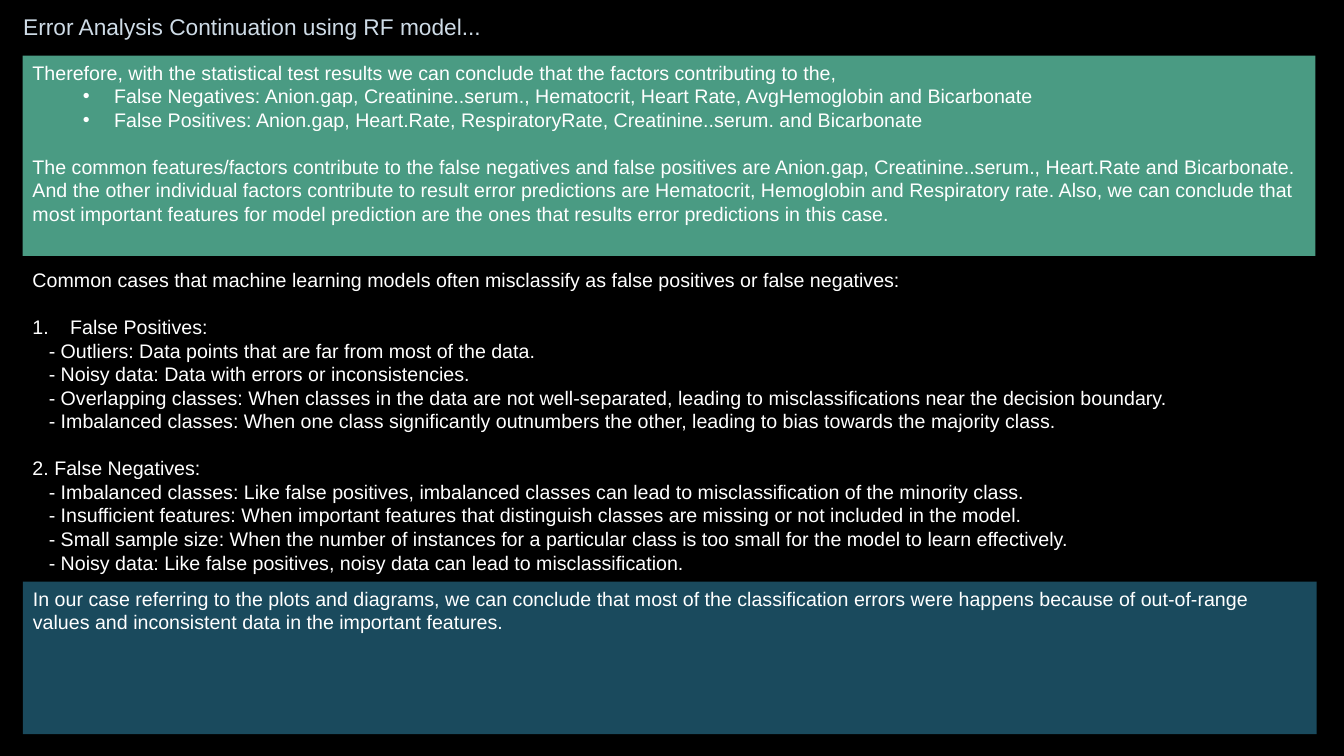
from dataclasses import dataclass

from lxml import etree
from pptx import Presentation
from pptx.dml.color import RGBColor
from pptx.enum.shapes import MSO_SHAPE
from pptx.enum.text import MSO_ANCHOR, PP_ALIGN
from pptx.oxml.ns import qn
from pptx.util import Cm, Pt

RECTANGLE = MSO_SHAPE.RECTANGLE
TOP, MIDDLE = MSO_ANCHOR.TOP, MSO_ANCHOR.MIDDLE
LEFT, CENTER = PP_ALIGN.LEFT, PP_ALIGN.CENTER

BLACK = RGBColor(0x00, 0x00, 0x00)
WHITE = RGBColor(0xFF, 0xFF, 0xFF)
PALE_BLUE = RGBColor(0xCE, 0xDB, 0xE6)
GREEN = RGBColor(0x4A, 0x9B, 0x83)
NAVY = RGBColor(0x1A, 0x4A, 0x5D)

FONT = "Arial"
BODY_SIZE = Pt(14)
LINE_PITCH = Pt(16.8)
TITLE_ONLY_LAYOUT = 5


@dataclass
class Line:
    text: str
    margin: float = 0  # cm
    hanging: float = 0  # cm
    bullet: str = ""
    number: str = ""
    gap: bool = False


@dataclass
class Panel:
    left: float  # cm
    top: float
    width: float
    height: float
    lines: list[Line]
    fill: RGBColor | None = None


def point(text: str) -> Line:
    return Line(text, margin=2.06, hanging=0.79, bullet="•")


def case(text: str) -> Line:
    return Line("- " + text, margin=0.41)


PANELS = [
    # Conclusion of the statistical tests
    Panel(0.57, 1.4, 32.58, 5.05, [
        Line("Therefore, with the statistical test results we can conclude that the "
             "factors contributing to the,"),
        point("False Negatives: Anion.gap, Creatinine..serum., Hematocrit, Heart Rate, "
              "AvgHemoglobin and Bicarbonate"),
        point("False Positives: Anion.gap, Heart.Rate, RespiratoryRate, "
              "Creatinine..serum. and Bicarbonate"),
        Line("The common features/factors contribute to the false negatives and false "
             "positives are Anion.gap, Creatinine..serum., Heart.Rate and Bicarbonate. "
             "And the other individual factors contribute to result error predictions "
             "are Hematocrit, Hemoglobin and Respiratory rate. Also, we can conclude "
             "that most important features for model prediction are the ones that "
             "results error predictions in this case.", gap=True),
    ], GREEN),
    # Commonly misclassified cases
    Panel(0.57, 6.63, 31.39, 8.03, [
        Line("Common cases that machine learning models often misclassify as false "
             "positives or false negatives:"),
        Line("False Positives:", margin=0.95, hanging=0.95, number="arabicPeriod",
             gap=True),
        case("Outliers: Data points that are far from most of the data."),
        case("Noisy data: Data with errors or inconsistencies."),
        case("Overlapping classes: When classes in the data are not well-separated, "
             "leading to misclassifications near the decision boundary."),
        case("Imbalanced classes: When one class significantly outnumbers the other, "
             "leading to bias towards the majority class."),
        Line("2. False Negatives:", gap=True),
        case("Imbalanced classes: Like false positives, imbalanced classes can lead to "
             "misclassification of the minority class."),
        case("Insufficient features: When important features that distinguish classes "
             "are missing or not included in the model."),
        case("Small sample size: When the number of instances for a particular class "
             "is too small for the model to learn effectively."),
        case("Noisy data: Like false positives, noisy data can lead to "
             "misclassification."),
    ]),
    # Conclusion for this case
    Panel(0.58, 14.66, 32.6, 3.84, [
        Line("In our case referring to the plots and diagrams, we can conclude that "
             "most of the classification errors were happens because of out-of-range "
             "values and inconsistent data in the important features."),
    ], NAVY),
]


def style_font(paragraph, size: Pt, color: RGBColor) -> None:
    paragraph.font.name = FONT
    paragraph.font.size = size
    paragraph.font.color.rgb = color


def write_line(paragraph, line: Line) -> None:
    properties = paragraph._p.get_or_add_pPr()
    if line.margin:
        properties.set("marL", str(Cm(line.margin)))
        properties.set("indent", str(-Cm(line.hanging)))
    paragraph.alignment = LEFT
    paragraph.line_spacing = LINE_PITCH
    if line.gap:
        paragraph.space_before = LINE_PITCH
    if line.bullet:
        etree.SubElement(properties, qn("a:buFont"), typeface=FONT)
        etree.SubElement(properties, qn("a:buChar"), char=line.bullet)
    if line.number:
        etree.SubElement(properties, qn("a:buAutoNum"), type=line.number)
    paragraph.text = line.text
    style_font(paragraph, BODY_SIZE, WHITE)


def add_panel(slide, panel: Panel) -> None:
    box = [Cm(value) for value in (panel.left, panel.top, panel.width, panel.height)]
    if panel.fill is None:
        shape = slide.shapes.add_textbox(*box)
    else:
        shape = slide.shapes.add_shape(RECTANGLE, *box)
        shape.shadow.inherit = False
        shape.fill.solid()
        shape.fill.fore_color.rgb = panel.fill
        shape.line.fill.background()
    frame = shape.text_frame
    frame.word_wrap = True
    frame.vertical_anchor = TOP
    for index, line in enumerate(panel.lines):
        write_line(frame.add_paragraph() if index else frame.paragraphs[0], line)


def format_title(title) -> None:
    title.left, title.top, title.width, title.height = Cm(0), Cm(0), Cm(12.7), Cm(1.42)
    title.text_frame.text = "Error Analysis Continuation using RF model..."
    title.text_frame.vertical_anchor = MIDDLE
    title.text_frame.word_wrap = True
    paragraph = title.text_frame.paragraphs[0]
    paragraph.alignment = CENTER
    paragraph.line_spacing = 0.9
    style_font(paragraph, Pt(16.2), PALE_BLUE)


def main() -> None:
    presentation = Presentation()
    presentation.slide_width, presentation.slide_height = Cm(33.87), Cm(19.05)
    slide = presentation.slides.add_slide(presentation.slide_layouts[TITLE_ONLY_LAYOUT])
    slide.background.fill.solid()
    slide.background.fill.fore_color.rgb = BLACK
    format_title(slide.shapes.title)
    for panel in PANELS:
        add_panel(slide, panel)
    presentation.save("out.pptx")


if __name__ == "__main__":
    main()
